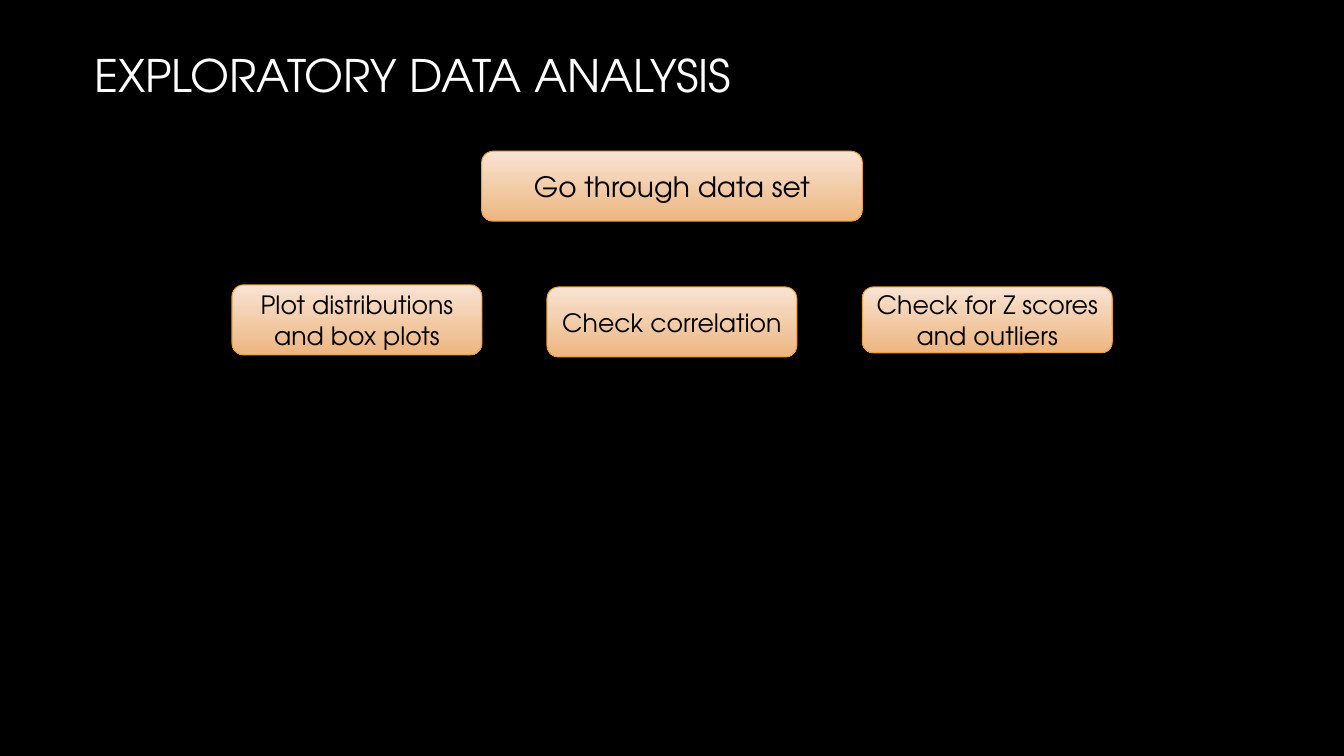
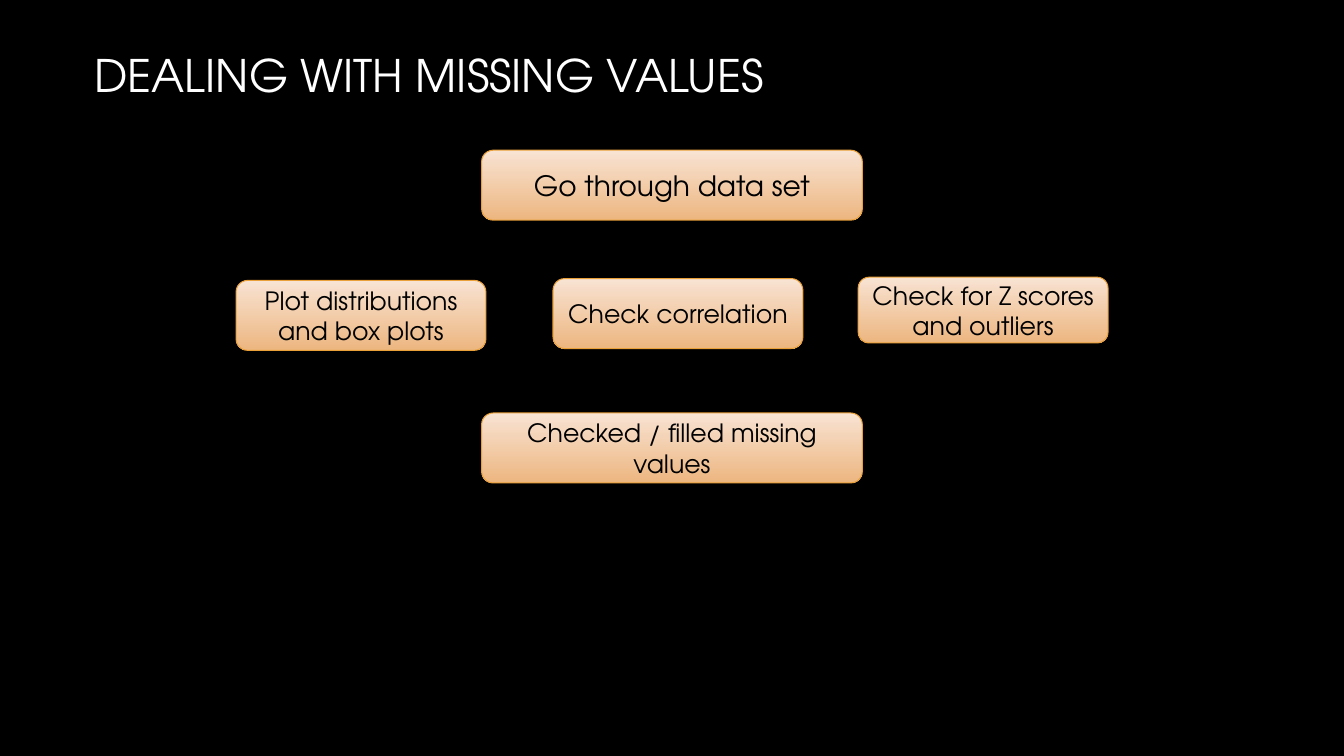
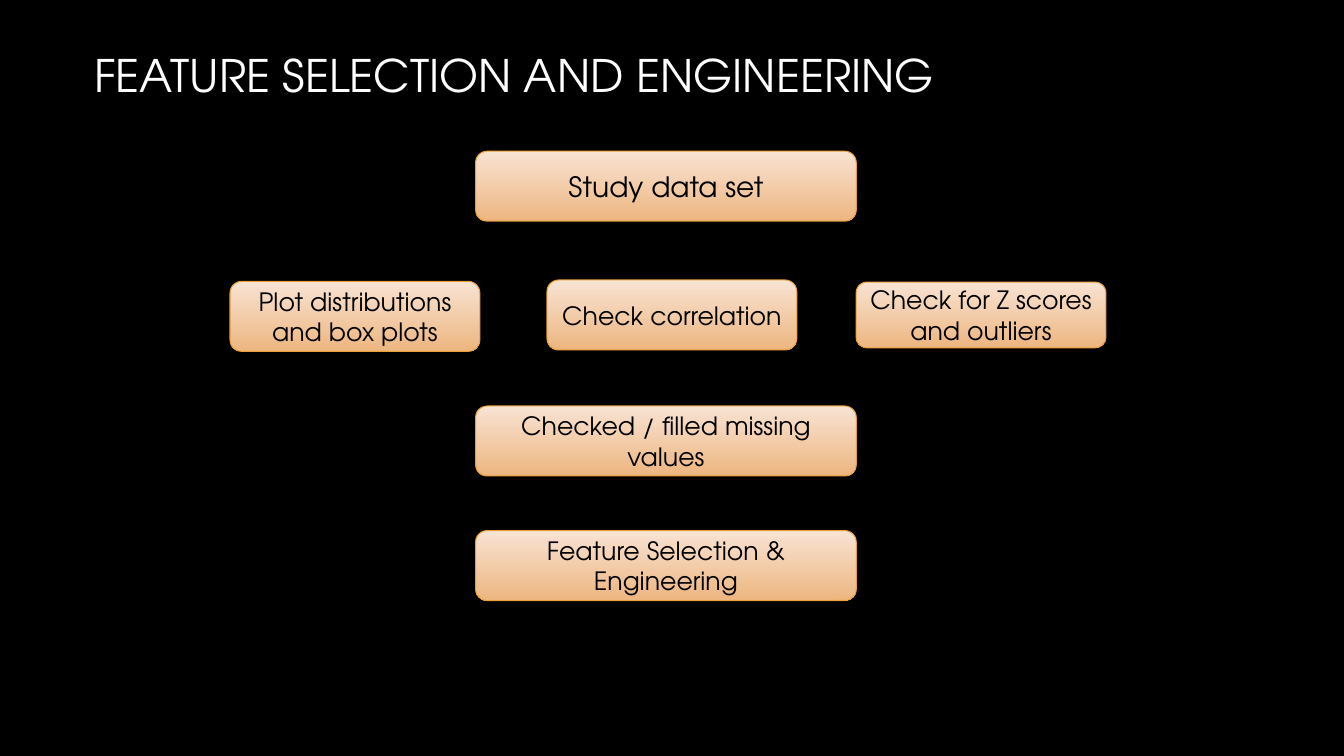
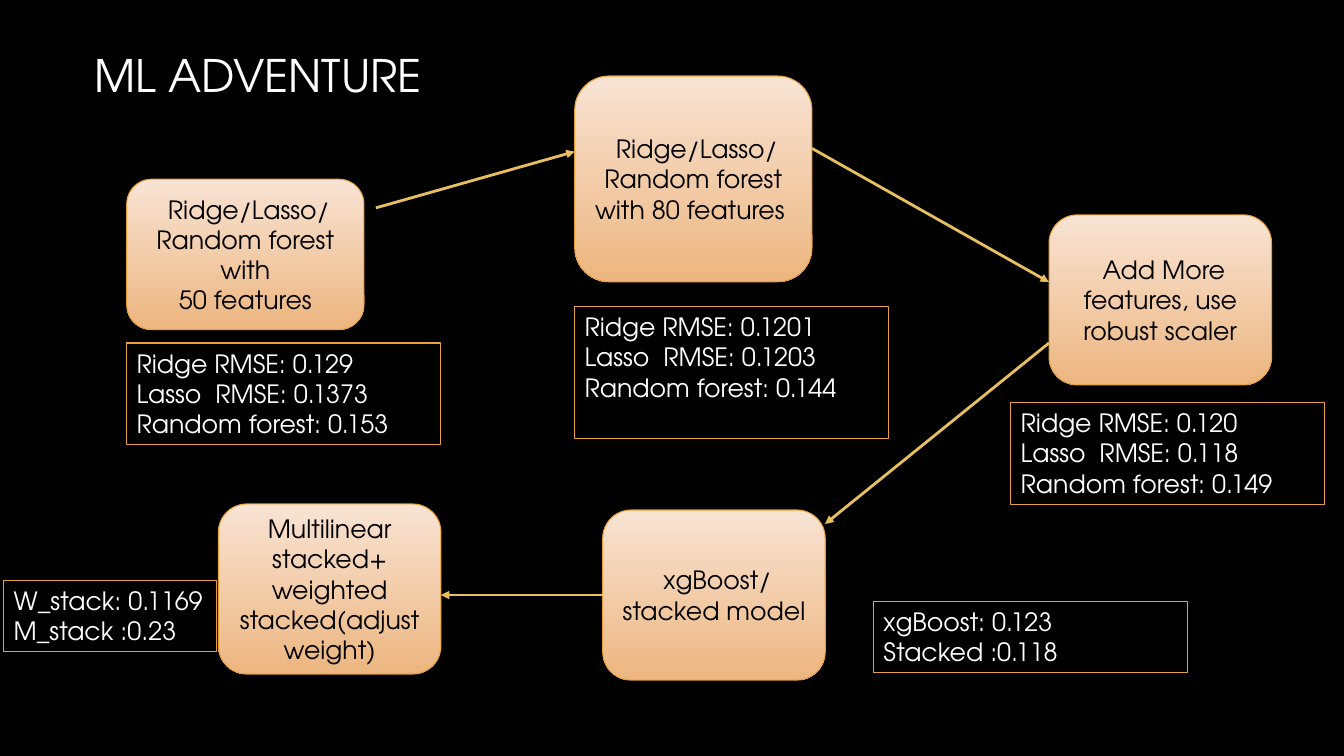
"""Build four slides on data analysis, feature work and model results."""
from lxml import etree
from pptx import Presentation
from pptx.dml.color import RGBColor
from pptx.enum import shapes, text
from pptx.oxml import ns
from pptx.util import Pt

BLACK = RGBColor(0x00, 0x00, 0x00)
WHITE = RGBColor(0xFF, 0xFF, 0xFF)
PEACH = RGBColor(0xF8, 0xE3, 0xD3)
APRICOT = RGBColor(0xED, 0xB6, 0x80)
ORANGE = RGBColor(0xE9, 0xA0, 0x39)
GOLD = RGBColor(0xE7, 0xBF, 0x5F)
FONT = "TeX Gyre Adventor"

prs = Presentation()
prs.slide_width, prs.slide_height = Pt(960), Pt(540)
master_fill = prs.slide_master.background.fill
master_fill.solid()
master_fill.fore_color.rgb = BLACK


def add_titled_slide(title):
    s = prs.slides.add_slide(prs.slide_layouts[5])
    sp = s.shapes.title
    sp.left, sp.top, sp.width, sp.height = Pt(60), Pt(0), Pt(900), Pt(107)
    tf = sp.text_frame
    tf.text = title
    tf.auto_size = text.MSO_AUTO_SIZE.NONE
    tf.vertical_anchor = text.MSO_ANCHOR.MIDDLE
    p = tf.paragraphs[0]
    p.alignment = text.PP_ALIGN.LEFT
    font = p.runs[0].font
    font.name, font.size, font.color.rgb = FONT, Pt(32), WHITE
    return s


def add_box(s, words, left, top, width, height, size=18, step=True):
    kind = shapes.MSO_SHAPE.ROUNDED_RECTANGLE if step else shapes.MSO_SHAPE.RECTANGLE
    sp = s.shapes.add_shape(kind, Pt(left), Pt(top), Pt(width), Pt(height))
    sp.shadow.inherit = False
    sp.line.color.rgb, sp.line.width = ORANGE, Pt(0.75)
    if step:
        sp.fill.gradient()
        sp.fill.gradient_angle = 270
        for stop, color, position in zip(sp.fill.gradient_stops, (PEACH, APRICOT), (0, 1)):
            stop.color.rgb, stop.position = color, position
    else:
        sp.fill.background()
    tf = sp.text_frame
    tf.text = words
    tf.word_wrap = True
    tf.vertical_anchor = text.MSO_ANCHOR.MIDDLE if step else text.MSO_ANCHOR.TOP
    for p in tf.paragraphs:
        p.alignment = text.PP_ALIGN.CENTER if step else text.PP_ALIGN.LEFT
        for r in p.runs:
            r.font.name, r.font.size = FONT, Pt(size)
            r.font.color.rgb = BLACK if step else WHITE


CHECKS = [
    ("Plot distributions and box plots", 50),
    ("Check correlation", 50),
    ("Check for Z scores and outliers", 47),
]
FILLED = "Checked / filled missing values"
flows = [
    ("EXPLORATORY DATA ANALYSIS", 344,
     [("Go through data set", 108, 20)],
     [(165.7, 203.5), (390.7, 205), (616, 205)]),
    ("DEALING WITH MISSING VALUES", 344,
     [("Go through data set", 107.3, 20), (FILLED, 295, 18)],
     [(168.6, 200.3), (395, 199), (613, 198)]),
    ("FEATURE SELECTION AND ENGINEERING", 339.7,
     [("Study data set", 108, 20), (FILLED, 290, 18),
      ("Feature Selection & Engineering", 379, 18)],
     [(164.3, 201), (390.7, 200), (611.5, 201.5)]),
]
for title, stage_left, stages, check_spots in flows:
    s = add_titled_slide(title)
    for words, top, size in stages:
        add_box(s, words, stage_left, top, 272, 50, size)
    for (words, height), (left, top) in zip(CHECKS, check_spots):
        add_box(s, words, left, top, 178.5, height)

s = add_titled_slide("ML ADVENTURE")
models = [
    (" Ridge/Lasso/\nRandom forest with\n50 features", 90.5, 128, 169.5, 107.5),
    (" Ridge/Lasso/\nRandom forest with 80 features ", 410.5, 54.3, 169.5, 147),
    (" Add More features, use robust scaler", 749.3, 153.5, 159, 121.5),
    (" xgBoost/ stacked model", 430.5, 364.3, 159, 121.5),
    ("Multilinear stacked+ weighted stacked(adjust weight)", 156, 360, 159, 121.5),
]
for model in models:
    add_box(s, *model)

scores = [
    ("Ridge RMSE: 0.129\nLasso  RMSE: 0.1373\nRandom forest: 0.153", 90.5, 245, 224, 72.7),
    ("Ridge RMSE: 0.1201\nLasso  RMSE: 0.1203\nRandom forest: 0.144", 410.5, 219, 224, 94),
    ("Ridge RMSE: 0.120\nLasso  RMSE: 0.118\nRandom forest: 0.149", 722, 287.5, 224, 72.7),
    ("xgBoost: 0.123\nStacked :0.118", 624, 429.5, 224, 51),
    ("W_stack: 0.1169\nM_stack :0.23", 2.7, 414.5, 152, 51),
]
for score in scores:
    add_box(s, *score, step=False)

arrows = [
    (268.5, 148.5, 410.5, 108.3),
    (580, 106, 749.3, 201.5),
    (749.3, 245, 589.3, 374.3),
    (430.5, 425, 315, 425),
]
for ends in arrows:
    arrow = s.shapes.add_connector(shapes.MSO_CONNECTOR.STRAIGHT, *map(Pt, ends))
    arrow.line.color.rgb, arrow.line.width = GOLD, Pt(2)
    etree.SubElement(arrow.line._get_or_add_ln(), ns.qn("a:tailEnd"), type="triangle")
    etree.SubElement(arrow._element.spPr, ns.qn("a:effectLst"))

prs.save("out.pptx")
